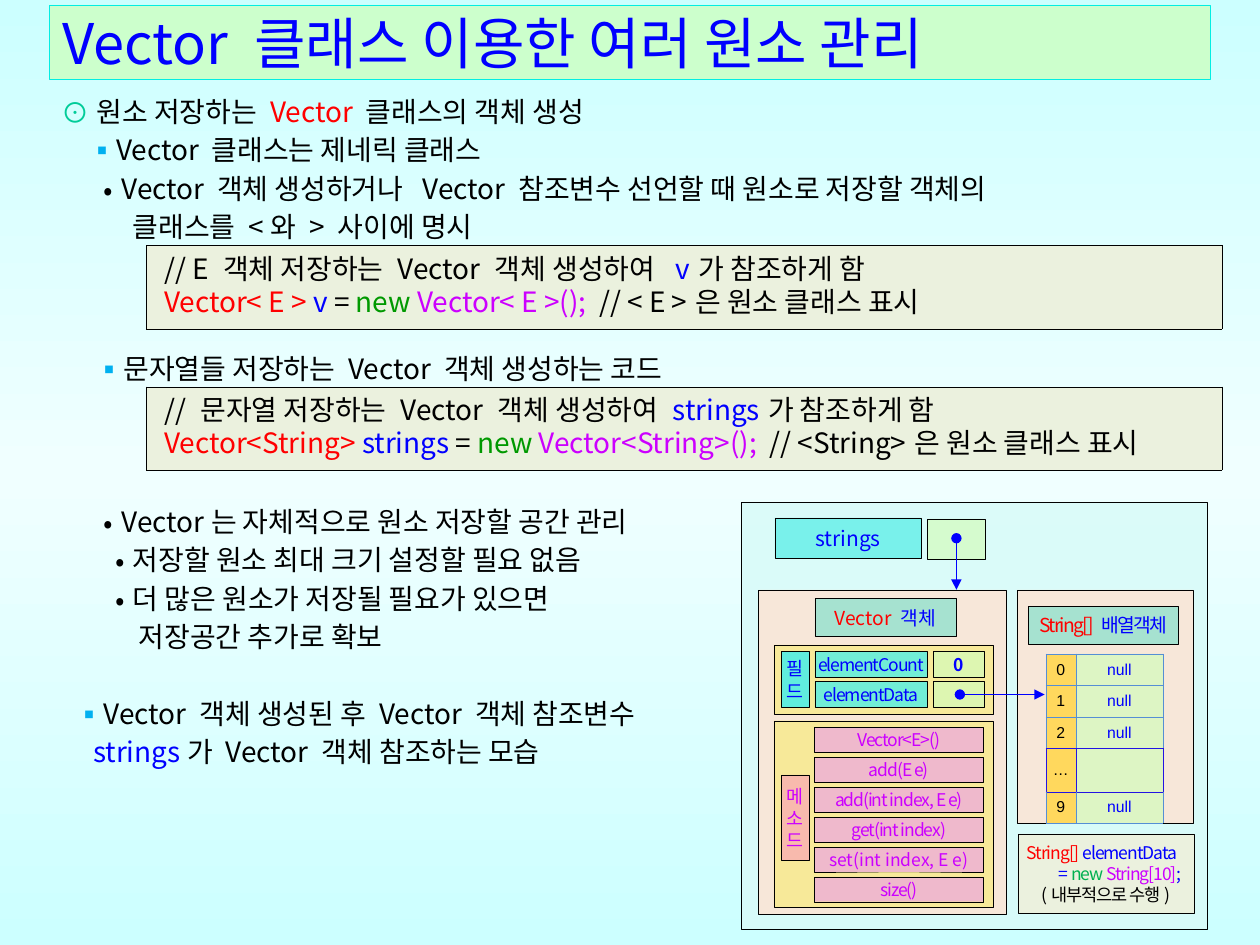
"""Build a slide on managing elements with the Vector class."""
import copy

import lxml.etree
import pptx
import pptx.dml.color
import pptx.enum.shapes
import pptx.enum.text
import pptx.oxml.ns
import pptx.util

Cm = pptx.util.Cm
Pt = pptx.util.Pt
qn = pptx.oxml.ns.qn
ALIGN = pptx.enum.text.PP_ALIGN
ANCHOR = pptx.enum.text.MSO_ANCHOR

COLORS = {
    "black": "000000", "blue": "0000FF", "red": "FF0000", "violet": "CC00FF",
    "green": "009900", "leaf": "00B050", "teal": "00CC99", "sky": "00B0F0",
    "edge": "CCFFFF", "glow": "F0FFFF", "title": "CCFFCC", "title line": "03EDE2",
    "code": "EBF1DE", "frame": "D9FBF9", "object": "FBE5D6", "group": "F7EA89",
    "label": "10DAC2", "field": "50EEE6", "value": "D3FCBC", "method": "E98BFF",
    "pink": "FF00FF", "index": "FFD85D", "grid": "558ED5", "gap": "2213E3",
}


def rgb(name):
    return pptx.dml.color.RGBColor.from_string(COLORS[name])


def add_child(parent, tag, **attributes):
    return lxml.etree.SubElement(parent, qn(tag), attributes)


def add_run(paragraph, text, color="black", size=16, font="Noto Sans CJK KR",
            bold=False, spacing=0):
    run = paragraph.add_run()
    run.text = text
    run.font.size = Pt(size)
    run.font.bold = bold
    run.font.name = font
    run.font.color.rgb = rgb(color)
    properties = run.font._element
    add_child(properties, "a:ea", typeface=font)
    if spacing:
        properties.set("spc", str(int(spacing * 100)))


class VectorSlide:
    """Hold the style and the current slide."""

    def __init__(self, presentation):
        self.line_width = Pt(0.25)
        self.slide = presentation.slides.add_slide(presentation.slide_layouts[5])

    def background(self):
        fill = self.slide.background.fill
        fill.gradient()
        fill.gradient_angle = 90
        for stop in fill.gradient_stops:
            stop.color.rgb = rgb("edge")
        first = next(self.slide.element.iter(qn("a:gs")))
        middle = copy.deepcopy(first)
        middle.set("pos", "50000")
        middle.find(qn("a:srgbClr")).set("val", COLORS["glow"])
        first.addnext(middle)

    def paint(self, fill, owner, color, opacity):
        fill.solid()
        fill.fore_color.rgb = rgb(color)
        if opacity < 100:
            tint = owner.find(qn("a:solidFill")).find(qn("a:srgbClr"))
            add_child(tint, "a:alpha", val=str(opacity * 1000))

    def frame(self, shape, inset=0, wrap=True, anchor=ANCHOR.MIDDLE):
        frame = shape.text_frame
        frame.word_wrap = wrap
        frame.auto_size = pptx.enum.text.MSO_AUTO_SIZE.NONE
        frame.vertical_anchor = anchor
        frame.margin_left = frame.margin_right = Cm(inset)
        frame.margin_top = frame.margin_bottom = 0
        return frame

    def lines(self, frame, lines, align=ALIGN.CENTER, leading=None, **style):
        paragraphs = []
        for number, runs in enumerate(lines):
            paragraph = frame.paragraphs[0] if number == 0 else frame.add_paragraph()
            paragraph.alignment = align
            if leading:
                paragraph.line_spacing = Pt(leading)
            for text, color in runs:
                add_run(paragraph, text, color, **style)
            paragraphs.append(paragraph)
        return paragraphs

    def title(self, text, left, top, width, height):
        title = self.slide.shapes.title
        title.left, title.top, title.width, title.height = map(Cm, (left, top, width, height))
        self.paint(title.fill, title.element.spPr, "title", 100)
        title.line.color.rgb = rgb("title line")
        title.line.width = self.line_width
        self.lines(self.frame(title, 0.25), [[(text, "blue")]], ALIGN.LEFT, size=32)

    def outline(self, items, left, top, width, height):
        box = self.slide.shapes.add_textbox(*map(Cm, (left, top, width, height)))
        frame = self.frame(box, 0.25, anchor=ANCHOR.TOP)
        frame.margin_top = Cm(0.13)
        paragraphs = self.lines(frame, [item[-1] for item in items], ALIGN.JUSTIFY, 21.9)
        hanging = {"⊙": (0.7, "teal"), "▪": (0.52, "sky"), "•": (0.36, "black")}
        for paragraph, (bullet, margin, before, _) in zip(paragraphs, items):
            paragraph.space_before = Pt(before)
            properties = paragraph._p.get_or_add_pPr()
            properties.set("marL", str(Cm(margin)))
            if bullet:
                hang, color = hanging[bullet]
                properties.set("indent", str(-Cm(hang)))
                add_child(add_child(properties, "a:buClr"), "a:srgbClr", val=COLORS[color])
                add_child(properties, "a:buFont", typeface="Noto Sans CJK KR")
                add_child(properties, "a:buChar", char=bullet)

    def box(self, left, top, width, height, color, opacity=100, lines=(), wrap=False, **style):
        box = self.slide.shapes.add_shape(
            pptx.enum.shapes.MSO_SHAPE.RECTANGLE, *map(Cm, (left, top, width, height)))
        box.shadow.inherit = False
        self.paint(box.fill, box.element.spPr, color, opacity)
        box.line.color.rgb = rgb("black")
        box.line.width = self.line_width
        return self.lines(self.frame(box, wrap=wrap), lines, **style)

    def arrow(self, *ends):
        arrow = self.slide.shapes.add_connector(
            pptx.enum.shapes.MSO_CONNECTOR.STRAIGHT, *map(Cm, ends))
        arrow.line.color.rgb = rgb("blue")
        arrow.line.width = Pt(0.5)
        line = arrow.line._get_or_add_ln()
        add_child(line, "a:headEnd", type="oval")
        add_child(line, "a:tailEnd", type="triangle")
        add_child(arrow.element.spPr, "a:effectLst")

    def table(self, left, top, columns, rows):
        shape = self.slide.shapes.add_table(
            len(rows), len(columns), Cm(left), Cm(top), Cm(sum(columns)), Cm(sum(rows)))
        table = shape.table
        table.first_row = table.horz_banding = False
        for column, width in zip(table.columns, columns):
            column.width = Cm(width)
        for row, height in zip(table.rows, rows):
            row.height = Cm(height)
        return table

    def cell(self, cell, lines, color, borders, opacity=100, inset=0, **style):
        properties = cell._tc.get_or_add_tcPr()
        for side, border in zip("LRTB", borders):
            line = add_child(properties, f"a:ln{side}", w=str(self.line_width))
            add_child(add_child(line, "a:solidFill"), "a:srgbClr", val=COLORS[border])
        self.paint(cell.fill, properties, color, opacity)
        cell.vertical_anchor = ANCHOR.MIDDLE
        cell.margin_left = cell.margin_right = Cm(inset)
        cell.margin_top = cell.margin_bottom = Cm(0.05)
        self.lines(cell.text_frame, lines, **style)

    def code(self, top, lines):
        table = self.table(2.95, top, [21.69], [1.68])
        self.cell(table.cell(0, 0), lines, "code", ["black"] * 4, inset=0.36,
                  align=ALIGN.JUSTIFY, leading=19)

    def array(self, left, top, indexes):
        table = self.table(left, top, [0.61, 1.75], [0.635] * len(indexes))
        gap = indexes.index("…")
        for row, index in enumerate(indexes):
            side = "gap" if row == gap else "grid"
            borders = [side, side, "gap" if row in (gap, gap + 1) else "grid",
                       "gap" if row in (gap - 1, gap) else "grid"]
            value = [] if row == gap else [[("null", "blue")]]
            style = {"size": 9, "font": "Arial"}
            self.cell(table.cell(row, 0), [[(index, "black")]], "index", borders, **style)
            self.cell(table.cell(row, 1), value, "value", borders, 70, **style)


def draw_text(page):
    page.title("Vector 클래스 이용한 여러 원소 관리", 1, 0.1, 23.39, 1.5)
    page.outline([
        ("⊙", 0.7, 0, [("원소 저장하는 ", "black"), ("Vector ", "red"),
                       ("클래스의 객체 생성", "black")]),
        ("▪", 1.05, 0, [("Vector 클래스는 제네릭 클래스", "black")]),
        ("•", 1.2, 0, [("Vector 객체 생성하거나  Vector 참조변수 선언할 때 원소로 저장할 객체의", "black")]),
        ("", 1.43, 0, [("클래스를 <와 > 사이에 명시", "black")]),
        ("▪", 1.2, 59.2, [("문자열들 저장하는 Vector 객체 생성하는 코드", "black")]),
        ("•", 1.2, 65.5, [("Vector는 자체적으로 원소 저장할 공간 관리", "black")]),
        ("•", 1.43, 0, [("저장할 원소 최대 크기 설정할 필요 없음", "black")]),
        ("•", 1.43, 0, [("더 많은 원소가 저장될 필요가 있으면", "black")]),
        ("", 1.55, 0, [("저장공간 추가로 확보", "black")]),
        ("▪", 0.8, 22, [("Vector 객체 생성된 후 Vector 객체 참조변수", "black")]),
        ("", 0.63, 0, [("strings", "blue"), ("가 Vector 객체 참조하는 모습", "black")]),
    ], 1, 1.68, 23.39, 14.05)
    for top, comment, variable, kind in ((4.95, "E 객체", " v", "< E >"),
                                         (7.8, "문자열", "strings", "<String>")):
        page.code(top, [
            [(f"// {comment} 저장하는 Vector 객체 생성하여 ", "black"), (variable, "blue"),
             ("가 참조하게 함", "black")],
            [(f"Vector{kind} ", "red"), (f"{variable.strip()} ", "blue"), ("= ", "black"),
             ("new ", "green"), (f"Vector{kind}();  ", "violet"),
             (f"// {kind}은 원소 클래스 표시", "black")]])


def draw_diagram(page):
    tight = {"size": 10, "spacing": -0.6}
    page.box(14.94, 10.13, 9.4, 8.61, "frame", 90)
    page.box(15.29, 11.89, 5, 6.55, "object", 90)
    page.box(15.6, 13, 4.42, 1.4, "group", 80)
    page.box(20.5, 11.89, 3.56, 4.7, "object", 90)
    page.array(21.08, 13.18, ["0", "1", "2", "…", "9"])
    page.box(20.73, 12.22, 3.02, 0.76, "label", 35,
             [[("String[] ", "red"), ("배열객체", "blue")]], size=11, spacing=-1)
    declaration, creation, _ = page.box(20.52, 16.81, 3.56, 1.6, "code", 100, [
        [("String[]", "red"), (" elementData", "blue")],
        [("= ", "blue"), ("new ", "leaf"), ("String[10]", "violet"), (";", "blue")],
        [("(내부적으로 수행)", "black")]], wrap=True, leading=12, size=10, spacing=-0.6)
    declaration.alignment = ALIGN.LEFT
    declaration._p.get_or_add_pPr().set("marL", str(Cm(0.18)))
    creation._p.get_or_add_pPr().set("marL", str(Cm(0.56)))

    page.box(16.43, 12.07, 2.84, 0.76, "label", 35,
             [[("Vector ", "red"), ("객체", "blue")]], size=11)
    page.box(15.75, 13.13, 0.56, 1.12, "field", 90,
             [[(letter, "blue")] for letter in "필드"], leading=13, size=10.5)
    for top, field, value in ((13.13, "elementCount", [[("0", "blue")]]),
                              (13.74, "elementData", [])):
        page.box(16.43, top, 2.26, 0.52, "field", 80, [[(field, "blue")]], **tight)
        page.box(18.82, top, 1.02, 0.52, "value", 70, value, bold=True, **tight)

    page.box(15.6, 14.53, 4.42, 3.76, "group", 80)
    page.box(15.75, 15.62, 0.56, 1.73, "pink", 20,
             [[(letter, "violet")] for letter in "메소드"], leading=12.6, size=10.5)
    methods = ["Vector<E>()", "add(E e)", "add(int index, E e)", "get(int index)",
               "set(int index, E e)", "size()"]
    for row, method in enumerate(methods):
        spacing = 0 if method.startswith("set") else -0.6
        page.box(16.42, 14.66 + 0.604 * row, 3.4, 0.5, "method", 50,
                 [[(method, "violet")]], size=10, spacing=spacing)

    page.box(15.62, 10.44, 2.95, 0.81, "field", 70, [[("strings", "blue")]], size=12)
    page.box(18.69, 10.46, 1.17, 0.81, "value", 70)
    page.arrow(19.35, 14, 21.06, 14)
    page.arrow(19.28, 10.85, 19.28, 11.89)


def main():
    presentation = pptx.Presentation()
    presentation.slide_width, presentation.slide_height = Cm(25.4), Cm(19.05)
    page = VectorSlide(presentation)
    page.background()
    draw_text(page)
    draw_diagram(page)
    presentation.save("out.pptx")


if __name__ == "__main__":
    main()
